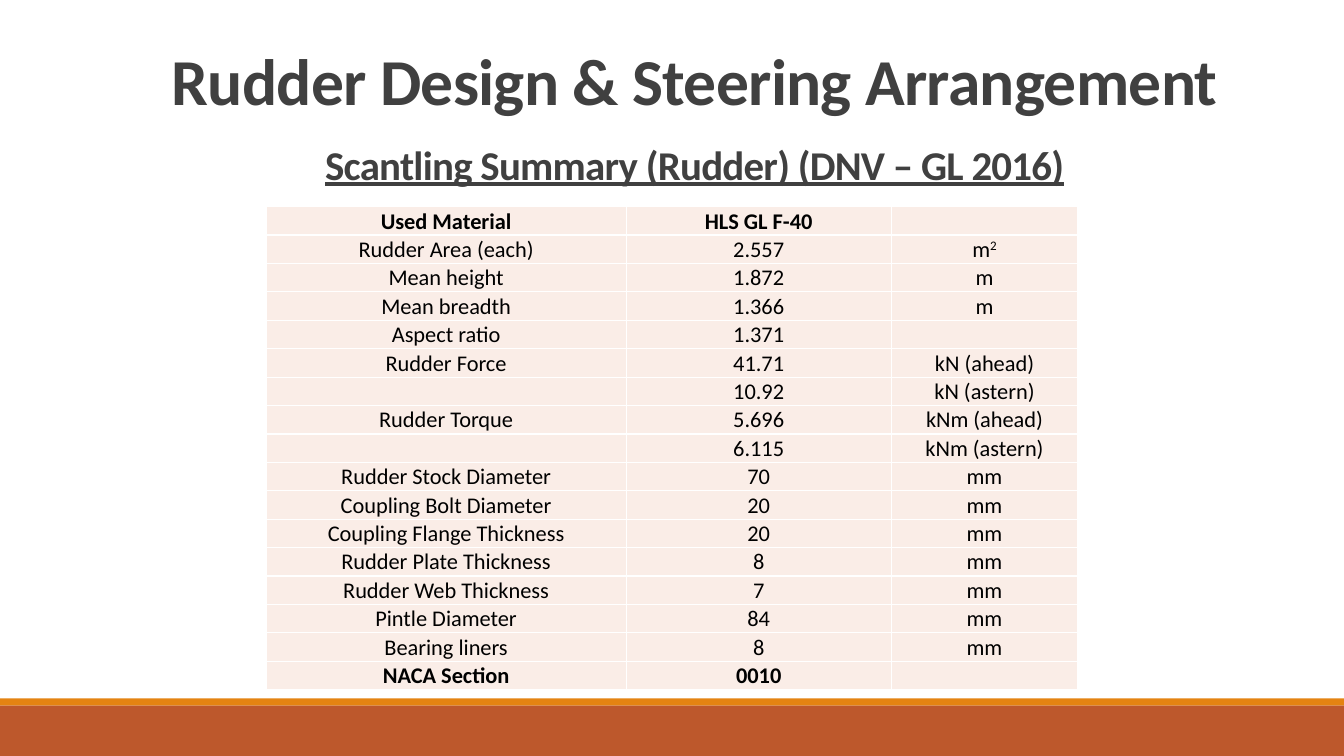
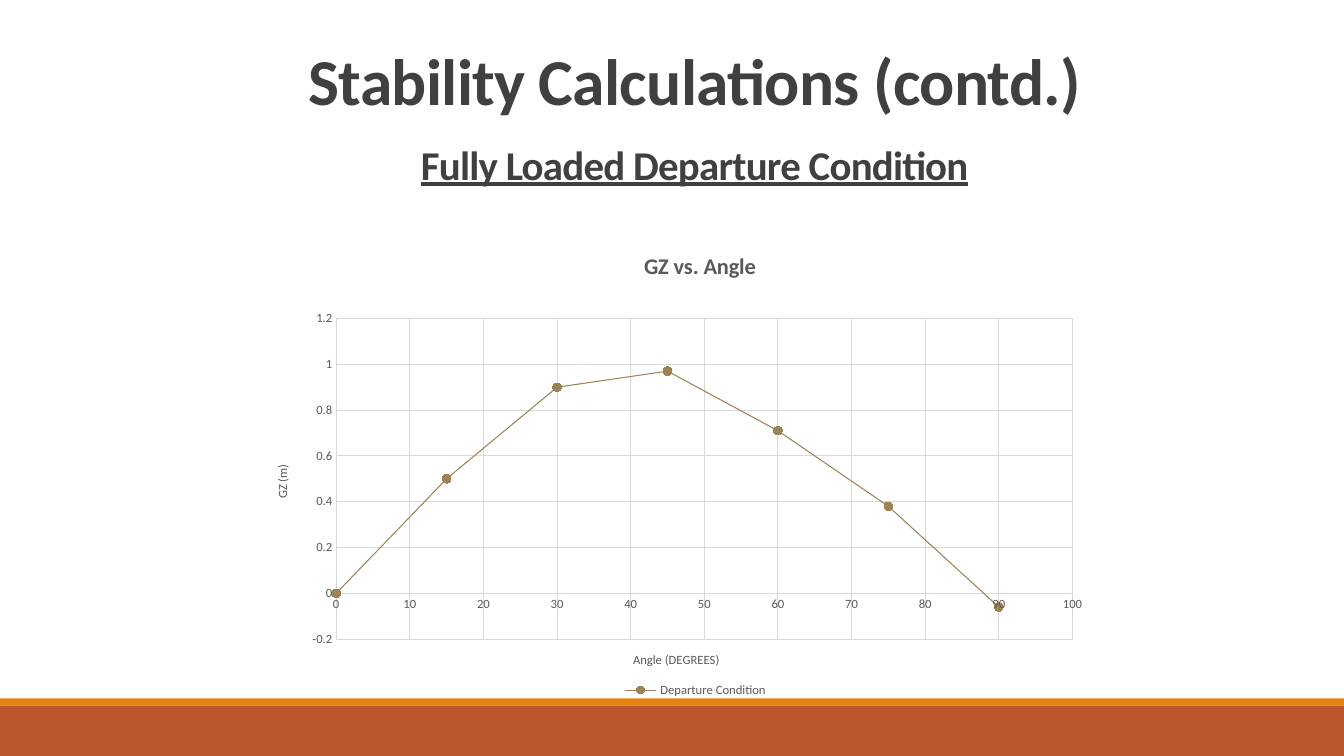
"""Build the rudder scantling and stability slides."""
import pptx
import pptx.chart.data
import pptx.dml.color
import pptx.enum.chart
import pptx.enum.shapes
import pptx.enum.text
import pptx.oxml
import pptx.oxml.ns
import pptx.util

Inches = pptx.util.Inches
Pt = pptx.util.Pt
RGBColor = pptx.dml.color.RGBColor
qn = pptx.oxml.ns.qn

RUST = RGBColor(0xBD, 0x58, 0x2C)
AMBER = RGBColor(0xE4, 0x83, 0x12)
DARK = RGBColor(0x40, 0x40, 0x40)
GREY = RGBColor(0x59, 0x59, 0x59)
PALE = RGBColor(0xD9, 0xD9, 0xD9)
BLUSH = RGBColor(0xFA, 0xED, 0xE7)
BLACK = RGBColor(0, 0, 0)
WHITE = RGBColor(0xFF, 0xFF, 0xFF)
TAN = RGBColor(0x9B, 0x83, 0x57)
BRONZE = RGBColor(0x9E, 0x84, 0x54)
FONT = "Calibri"

ROWS = [
    ("Used Material", "HLS GL F-40", ""),
    ("Rudder Area (each)", "2.557", "m^2"),
    ("Mean height", "1.872", "m"),
    ("Mean breadth", "1.366", "m"),
    ("Aspect ratio", "1.371", ""),
    ("Rudder Force", "41.71", "kN (ahead)"),
    ("", "10.92", "kN (astern)"),
    ("Rudder Torque", "5.696", "kNm (ahead)"),
    ("", "6.115", "kNm (astern)"),
    ("Rudder Stock Diameter", "70", "mm"),
    ("Coupling Bolt Diameter", "20", "mm"),
    ("Coupling Flange Thickness", "20", "mm"),
    ("Rudder Plate Thickness", "8", "mm"),
    ("Rudder Web Thickness", "7", "mm"),
    ("Pintle Diameter", "84", "mm"),
    ("Bearing liners", "8", "mm"),
    ("NACA Section", "0010", ""),
]
ANGLES = [0, 15, 30, 45, 60, 75, 90]
LEVERS = [0, 0.5, 0.9, 0.97, 0.71, 0.38, -0.06]


def xml(text):
    space = pptx.oxml.ns.nsdecls("a", "c")
    head, tail = text.split(">", 1)
    return pptx.oxml.parse_xml(f"{head} {space}>{tail}")


def ink(font, size, color, bold=False):
    font.name, font.size, font.bold = FONT, Pt(size), bold
    font.color.rgb = color


def place(node, index, target="", **spots):
    old = node.find(qn("c:layout"))
    if old is not None:
        node.remove(old)
    inner = f'<c:layoutTarget val="{target}"/>' if target else ""
    inner += '<c:xMode val="edge"/><c:yMode val="edge"/>'
    inner += "".join(f'<c:{key} val="{val}"/>' for key, val in spots.items())
    node.insert(index, xml(
        f"<c:layout><c:manualLayout>{inner}</c:manualLayout></c:layout>"))


class Deck:
    def __init__(self):
        self.prs = pptx.Presentation()
        self.prs.slide_width = Inches(13.33)
        self.prs.slide_height = Inches(7.5)
        self.slide = None

    def page(self, title, head):
        first = self.slide is None
        self.slide = self.prs.slides.add_slide(self.prs.slide_layouts[5])
        if first:
            self.band(7, 0.5, RUST, 101)
            self.band(6.93, 0.07, AMBER, 102)
        self.head(self.slide.shapes.title, 0.47, title, 46.8)
        box = self.slide.shapes.add_textbox(0, 0, 0, 0)
        self.head(box, 1.41, head, 29.2, True)

    def band(self, top, height, color, number):
        rect = pptx.enum.shapes.MSO_SHAPE.RECTANGLE
        shape = self.slide.shapes.add_shape(
            rect, 0, Inches(top), self.prs.slide_width, Inches(height))
        shape.shadow.inherit = False
        shape.fill.solid()
        shape.fill.fore_color.rgb = color
        shape.line.fill.background()
        shape.element.nvSpPr.cNvPr.set("id", str(number))
        self.prs.slide_master.shapes.element.insert(2, shape.element)

    def head(self, box, top, text, size, under=False):
        box.left, box.top = Inches(1.39), Inches(top)
        box.width, box.height = Inches(11), Inches(1.59)
        frame = box.text_frame
        frame.word_wrap = True
        frame.auto_size = pptx.enum.text.MSO_AUTO_SIZE.NONE
        frame.vertical_anchor = pptx.enum.text.MSO_ANCHOR.TOP
        frame.text = text
        para = frame.paragraphs[0]
        para.alignment = pptx.enum.text.PP_ALIGN.CENTER
        para.line_spacing = 0.85
        font = para.runs[0].font
        ink(font, size, DARK, True)
        font.underline = under
        para.runs[0]._r.get_or_add_rPr().set("spc", "-50")

    def table(self, rows, widths, left, top, height):
        frame = self.slide.shapes.add_table(
            len(rows), len(widths), Inches(left), Inches(top),
            Inches(sum(widths)), Inches(height))
        grid = frame.table
        grid.first_row = grid.horz_banding = False
        for col, width in zip(grid.columns, widths):
            col.width = Inches(width)
        for r, row in enumerate(rows):
            for c, text in enumerate(row):
                self.cell(grid.cell(r, c), text, r in (0, len(rows) - 1))

    def cell(self, cell, text, bold):
        cell.fill.solid()
        cell.fill.fore_color.rgb = BLUSH
        cell.margin_left = cell.margin_right = cell.margin_top = Inches(0.01)
        cell.margin_bottom = 0
        cell.vertical_anchor = pptx.enum.text.MSO_ANCHOR.BOTTOM
        for i, side in enumerate("LRTB"):
            cell._tc.get_or_add_tcPr().insert(i, xml(
                f'<a:ln{side} w="12700"><a:solidFill><a:srgbClr val="{WHITE}"/>'
                f"</a:solidFill></a:ln{side}>"))
        para = cell.text_frame.paragraphs[0]
        para.alignment = pptx.enum.text.PP_ALIGN.CENTER
        for i, part in enumerate(text.split("^") if text else []):
            run = para.add_run()
            run.text = part
            ink(run.font, 16, BLACK, bold)
            if i:
                run._r.get_or_add_rPr().set("baseline", "30000")
        if not text:
            para._p.append(xml('<a:endParaRPr sz="1600"></a:endParaRPr>'))

    def label(self, title, text, size, bold, x, y):
        title.text_frame.text = text
        ink(title.text_frame.paragraphs[0].runs[0].font, size, GREY, bold)
        place(title.element, 1, x=x, y=y)

    def axis(self, axis, low, high, step, text, x, y):
        axis.minimum_scale, axis.maximum_scale = low, high
        axis.major_unit = step
        none = pptx.enum.chart.XL_TICK_MARK.NONE
        axis.major_tick_mark = axis.minor_tick_mark = none
        axis.format.line.fill.background()
        axis.has_major_gridlines = True
        line = axis.major_gridlines.format.line
        line.color.rgb, line.width = PALE, Pt(0.75)
        ink(axis.tick_labels.font, 9, GREY)
        axis.tick_labels.number_format = "General"
        axis.tick_labels.number_format_is_linked = False
        axis.has_title = True
        self.label(axis.axis_title, text, 9, False, x, y)

    def curve(self, title, name, points, left, top, width, height):
        data = pptx.chart.data.XyChartData()
        series = data.add_series(name)
        for x, y in points:
            series.add_data_point(x, y)
        kind = pptx.enum.chart.XL_CHART_TYPE.XY_SCATTER_SMOOTH
        chart = self.slide.shapes.add_chart(
            kind, Inches(left), Inches(top), Inches(width), Inches(height),
            data).chart
        ink(chart.font, 10, BLACK)
        chart.has_title = True
        self.label(chart.chart_title, title, 16, True, 0.44, 0.05)
        self.axis(chart.category_axis, 0, 100, 10, "Angle (DEGREES)", 0.43, 0.89)
        self.axis(chart.value_axis, -0.2, 1.2, 0.2, "GZ (m)", 0.04, 0.5)
        chart.has_legend = True
        chart.legend.position = pptx.enum.chart.XL_LEGEND_POSITION.BOTTOM
        chart.legend.include_in_layout = False
        ink(chart.legend.font, 9, GREY)
        plot = chart.plots[0]
        plot.vary_by_categories = False
        line = plot.series[0]
        line.smooth = True
        line.format.line.color.rgb = TAN
        line.format.line.width = Pt(0.75)
        mark = line.marker
        mark.style = pptx.enum.chart.XL_MARKER_STYLE.CIRCLE
        mark.size = 6
        mark.format.fill.solid()
        mark.format.fill.fore_color.rgb = BRONZE
        mark.format.line.color.rgb = BRONZE
        area = chart.element.find(".//" + qn("c:plotArea"))
        place(area, 0, "inner", x=0.11, y=0.2, w=0.8, h=0.67)


def main():
    deck = Deck()
    deck.page("Rudder Design & Steering Arrangement",
              "Scantling Summary (Rudder) (DNV – GL 2016)")
    deck.table(ROWS, [3.57, 2.63, 1.85], 2.64, 2.05, 4.65)
    deck.page("Stability Calculations (contd.)",
              "Fully Loaded Departure Condition")
    deck.curve("GZ vs. Angle", "Departure Condition", zip(ANGLES, LEVERS),
               2.33, 2.21, 9.13, 4.75)
    deck.prs.save("out.pptx")


if __name__ == "__main__":
    main()
